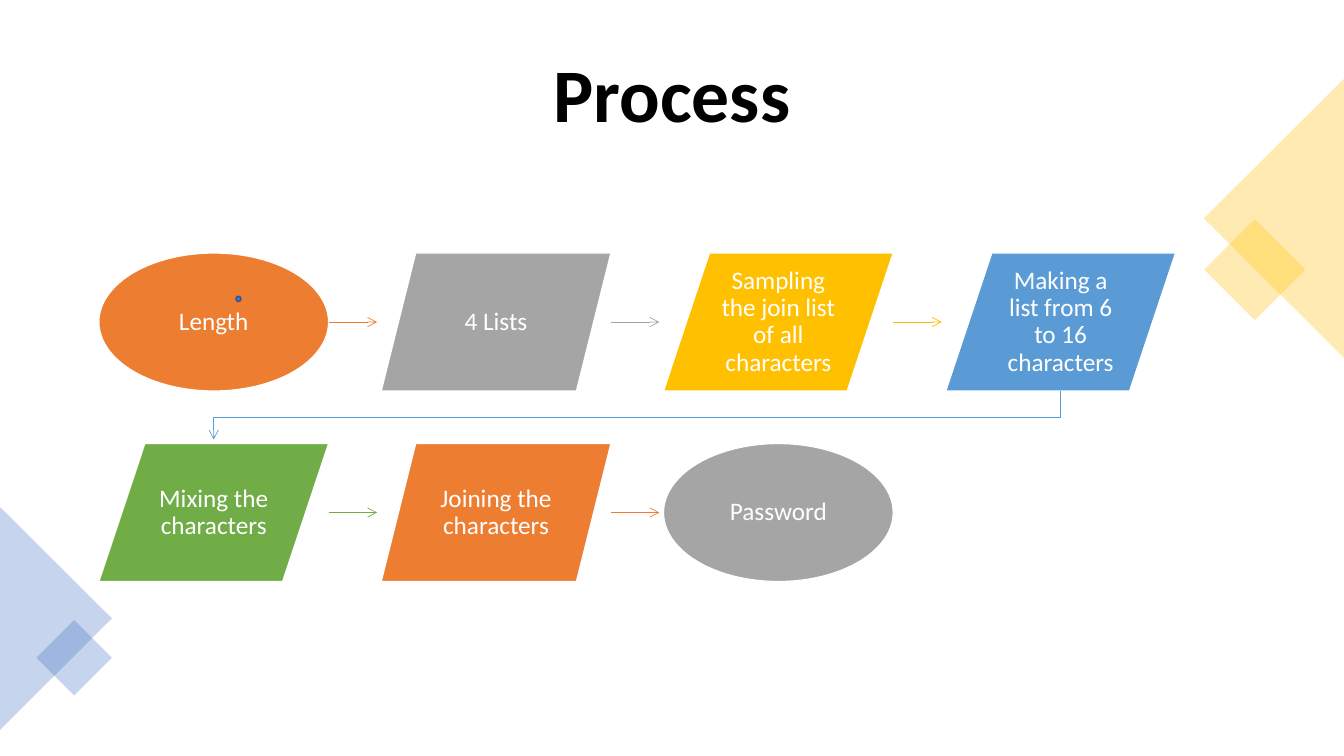
from lxml import etree
from pptx import Presentation
from pptx.dml.color import RGBColor
from pptx.enum.shapes import MSO_CONNECTOR, MSO_SHAPE
from pptx.enum.text import MSO_ANCHOR, PP_ALIGN
from pptx.oxml.ns import qn
from pptx.util import Inches, Pt

OVAL = MSO_SHAPE.OVAL
SLANT = MSO_SHAPE.PARALLELOGRAM
DATA = MSO_SHAPE.FLOWCHART_DATA
SQUARE = MSO_SHAPE.RECTANGLE
TRIANGLE = MSO_SHAPE.ISOSCELES_TRIANGLE
STRAIGHT = MSO_CONNECTOR.STRAIGHT
MIDDLE = MSO_ANCHOR.MIDDLE
CENTER = PP_ALIGN.CENTER

COLORS = {
    "orange": "ED7D31", "gray": "A5A5A5", "gold": "FFC000", "sky": "5B9BD5",
    "green": "70AD47", "blue": "4472C4", "navy": "325491",
    "white": "FFFFFF", "black": "000000",
}
FONT = "Calibri"

# Grid of the flow, in inches
COLUMNS = 4
LEFT, TOP = 0.98, 2.51
COLUMN_PITCH, ROW_PITCH = 2.8, 1.89
STEP_WIDTH, STEP_HEIGHT = 2.28, 1.37
ARROW_GAP = 0.04


def add_filled(kind, left, top, width, height, color, outline=None):
    shape = slide.shapes.add_shape(
        kind, Inches(left), Inches(top), Inches(width), Inches(height))
    shape.shadow.inherit = False
    shape.fill.solid()
    shape.fill.fore_color.rgb = RGBColor.from_string(COLORS[color])
    if outline:
        shape.line.color.rgb = RGBColor.from_string(COLORS[outline])
        shape.line.width = Pt(1)
    else:
        shape.line.fill.background()
    return shape


def style_arrow(arrow, color):
    arrow.line.color.rgb = RGBColor.from_string(COLORS[color])
    arrow.line.width = Pt(0.5)
    line = arrow.line._get_or_add_ln()
    etree.SubElement(line, qn("a:tailEnd"), type="arrow")


deck = Presentation()
deck.slide_width, deck.slide_height = Inches(13.33), Inches(7.5)
slide = deck.slides.add_slide(deck.slide_layouts[5])

title = slide.shapes.title
title.left, title.top = Inches(0.7), Inches(0.35)
title.width, title.height = Inches(11.93), Inches(1.24)
title.text_frame.text = "Process"
title.text_frame.vertical_anchor = MIDDLE
heading = title.text_frame.paragraphs[0]
heading.alignment = CENTER
heading.line_spacing = 0.9
heading.font.name = FONT
heading.font.size = Pt(54)
heading.font.bold = True
heading.font.color.rgb = RGBColor.from_string(COLORS["black"])

# Translucent corner decorations
decorations = [
    (SQUARE, 12.09, 2.32, 0.71, 0.71, 45, "gold"),
    (TRIANGLE, 11.25, 1.47, 2.77, 1.39, 270, "gold"),
    (TRIANGLE, -0.55, 5.58, 2.21, 1.11, 90, "blue"),
    (SQUARE, 0.47, 6.26, 0.53, 0.53, 45, "blue"),
]
for kind, left, top, width, height, angle, color in decorations:
    decoration = add_filled(kind, left, top, width, height, color)
    decoration.rotation = angle
    tint = decoration.fill._xPr.find(qn("a:solidFill"))[0]
    etree.SubElement(tint, qn("a:alpha"), val="30000")

steps = [
    ("Length", OVAL, "orange"),
    ("4 Lists", SLANT, "gray"),
    ("Sampling the join list of all characters", DATA, "gold"),
    ("Making a list from 6 to 16 characters", DATA, "sky"),
    ("Mixing the characters", DATA, "green"),
    ("Joining the characters", SLANT, "orange"),
    ("Password", OVAL, "gray"),
]
for index, (label, kind, color) in enumerate(steps):
    row, column = divmod(index, COLUMNS)
    left = LEFT + column * COLUMN_PITCH
    top = TOP + row * ROW_PITCH
    step = add_filled(kind, left, top, STEP_WIDTH, STEP_HEIGHT, color, "white")
    frame = step.text_frame
    frame.word_wrap = True
    frame.vertical_anchor = MIDDLE
    frame.margin_left = frame.margin_right = Inches(0.11)
    frame.margin_top = frame.margin_bottom = Inches(0.12)
    frame.text = label
    para = frame.paragraphs[0]
    para.alignment = CENTER
    para.line_spacing = 0.9
    para.font.name = FONT
    para.font.size = Pt(18)
    para.font.color.rgb = RGBColor.from_string(COLORS["white"])

    if index == len(steps) - 1:
        continue
    if column < COLUMNS - 1:
        middle = Inches(top + STEP_HEIGHT / 2)
        arrow = slide.shapes.add_connector(
            STRAIGHT, Inches(left + STEP_WIDTH), middle,
            Inches(left + COLUMN_PITCH - ARROW_GAP), middle)
        etree.SubElement(arrow._element.spPr, qn("a:effectLst"))
    else:
        start_x, end_x = left + STEP_WIDTH / 2, LEFT + STEP_WIDTH / 2
        start_y, end_y = top + STEP_HEIGHT, top + ROW_PITCH - ARROW_GAP
        turn_y = (top + STEP_HEIGHT + top + ROW_PITCH) / 2
        builder = slide.shapes.build_freeform(
            Inches(start_x), Inches(start_y))
        builder.add_line_segments(
            [(Inches(x), Inches(y)) for x, y in
             [(start_x, turn_y), (end_x, turn_y), (end_x, end_y)]],
            close=False)
        arrow = builder.convert_to_shape()
        arrow.shadow.inherit = False
        arrow.fill.background()
    style_arrow(arrow, color)

add_filled(OVAL, 2.34, 2.94, 0.05, 0.05, "blue", "navy")

deck.save("out.pptx")
